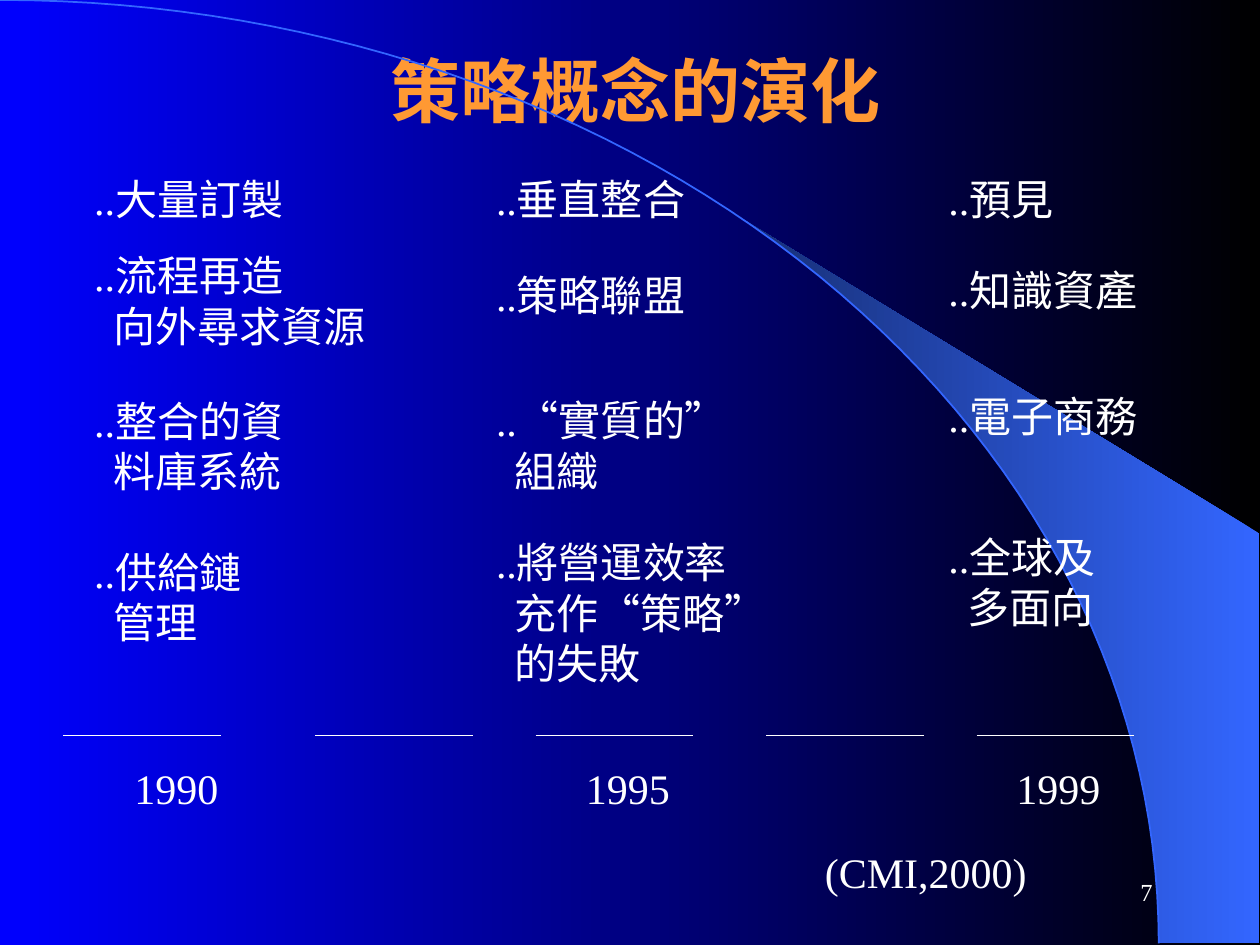
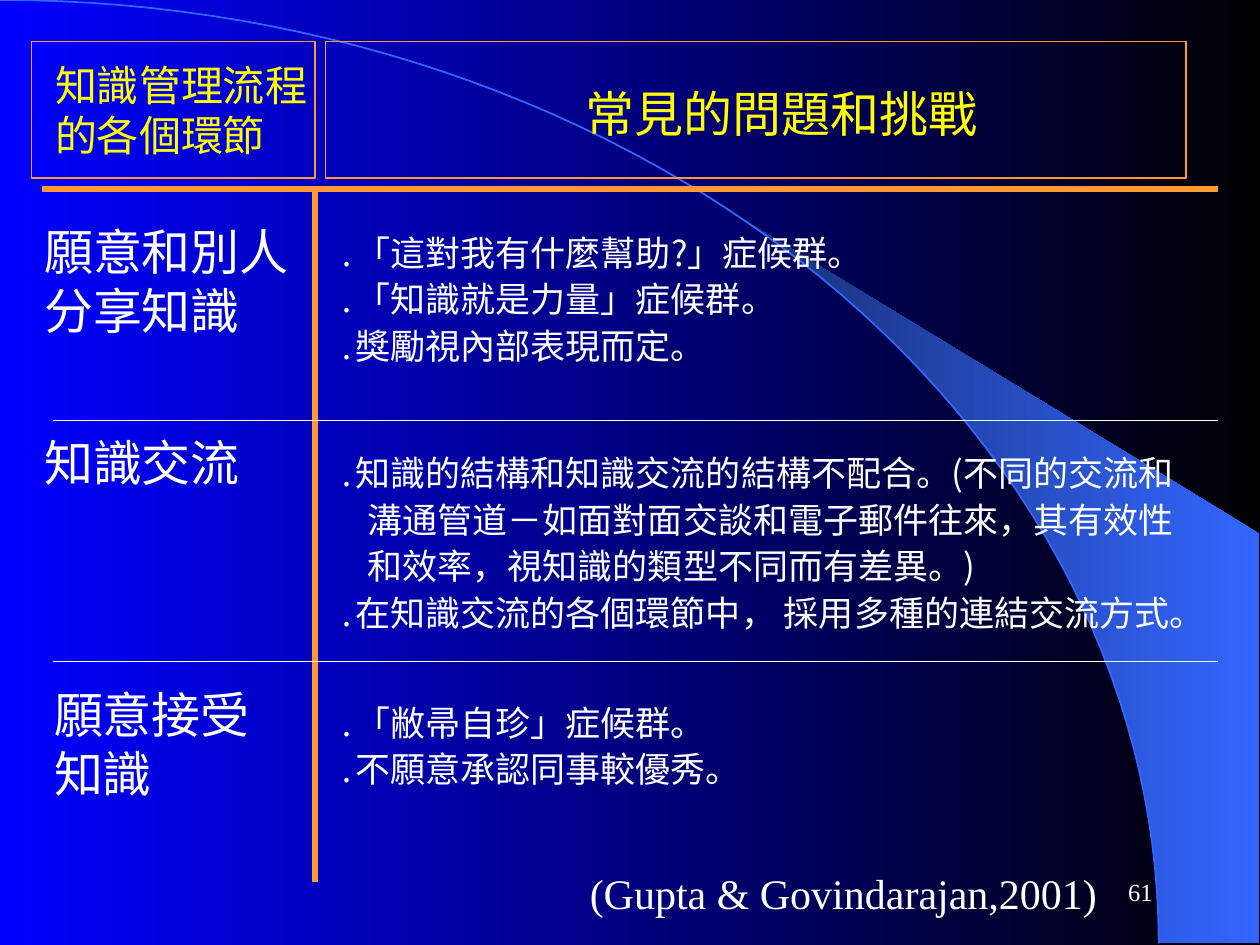
from dataclasses import dataclass
from math import asin, cos, pi, sin

from lxml.etree import SubElement
from pptx import Presentation
from pptx.dml.color import RGBColor
from pptx.enum.shapes import MSO_CONNECTOR, MSO_SHAPE
from pptx.enum.text import MSO_ANCHOR, MSO_AUTO_SIZE, PP_ALIGN
from pptx.oxml.ns import qn
from pptx.util import Cm, Pt

# Shared look
BLACK = RGBColor(0x00, 0x00, 0x00)
WHITE = RGBColor(0xFF, 0xFF, 0xFF)
BLUE = RGBColor(0x00, 0x00, 0xFF)
ARC_BLUE = RGBColor(0x33, 0x66, 0xFF)
DEEP_BLUE = RGBColor(0x17, 0x2F, 0x75)
ORANGE = RGBColor(0xFF, 0x99, 0x33)
YELLOW = RGBColor(0xFF, 0xFF, 0x00)
SERIF = "Times New Roman"
SANS_SC = "Noto Sans CJK SC"
SANS_TC = "Noto Sans CJK TC"

ARC_RX, ARC_RY = 23.36, 19.02
ARC_STEPS = 60
BEAM_START_X, BEAM_RIGHT, BEAM_TOP = 14.96, 25.38, 10.75


@dataclass(frozen=True)
class Style:
    size: float
    font: str = SERIF
    east_asian: str = SANS_TC
    color: RGBColor = WHITE
    bold: bool = False
    spacing: float = 1.2
    hang: float = 0
    align: PP_ALIGN = PP_ALIGN.LEFT


@dataclass(frozen=True)
class Item:
    text: str
    before: float = 0


@dataclass(frozen=True)
class Block:
    left: float
    top: float
    width: float
    height: float
    items: tuple[Item, ...]
    style: Style


@dataclass(frozen=True)
class Rule:
    x1: float
    y1: float
    x2: float
    y2: float
    color: RGBColor = WHITE
    weight: float = 0.75


TITLE = Style(40, color=ORANGE, bold=True, align=PP_ALIGN.CENTER)
BODY = Style(24)
COLUMN = Style(24, hang=0.38)
PAGE = Style(14, align=PP_ALIGN.RIGHT)
STAGE_HEAD = Style(24, color=YELLOW)
ISSUE_HEAD = Style(28, color=YELLOW)
STAGE = Style(28, SANS_SC, SANS_SC)
ISSUE = Style(20, SANS_TC, spacing=1.33, hang=0.6)

# Slide 1: concepts by period
COLUMN_TOP = 3.38
COLUMNS = [
    (1.65, (Item("..大量訂製"), Item("..流程再造\v向外尋求資源", 14.5),
            Item("..整合的資\v料庫系統", 25.5), Item("..供給鏈\v管理", 28.8))),
    (9.75, (Item("..垂直整合"), Item("..策略聯盟", 26),
            Item("..“實質的”\v組織", 42.6),
            Item("..將營運效率\v充作“策略”\v的失敗", 23.7))),
    (18.87, (Item("..預見"), Item("..知識資產", 23.1),
             Item("..電子商務", 43.1), Item("..全球及\v多面向", 51.7))),
]
YEARS = [("1990", 2.46), ("1995", 11.56), ("1999", 20.24)]
TIMELINE_Y, DASH_LENGTH = 14.82, 3.18
DASH_LEFTS = [1.27, 6.35, 10.8, 15.45, 19.69]

# Slide 2: stages and their issues
STAGES = [
    Block(0.64, 4.34, 5.7, 2.64, (Item("願意和別人\v分享知識"),), STAGE),
    Block(0.64, 8.59, 5.7, 1.45, (Item("知識交流"),), STAGE),
    Block(0.84, 13.67, 5.5, 2.64, (Item("願意接受\v知識"),), STAGE),
]
ISSUES = [
    (4.45, 3.05, ("․「這對我有什麼幫助?」症候群。",
                  "․「知識就是力量」症候群。", "․獎勵視內部表現而定。")),
    (8.89, 3.99, ("․知識的結構和知識交流的結構不配合。(不同的交流和\v"
                  "溝通管道－如面對面交談和電子郵件往來，其有效性\v"
                  "和效率，視知識的類型不同而有差異。)",
                  "․在知識交流的各個環節中， 採用多種的連結交流方式。")),
    (13.92, 2.13, ("․「敝帚自珍」症候群。", "․不願意承認同事較優秀。")),
]
HEAD_FRAMES = [(6.56, 17.35), (0.64, 5.71)]
GRID = [
    Rule(6.35, 3.81, 6.35, 17.78, ORANGE, 3),
    Rule(0.84, 3.81, 24.55, 3.81, ORANGE, 3),
    Rule(1.06, 8.47, 24.55, 8.47),
    Rule(1.06, 13.34, 24.55, 13.34),
]


def set_gradient(fill, right: RGBColor, left: RGBColor) -> None:
    fill.gradient()
    fill.gradient_angle = 180
    for stop, color in zip(fill.gradient_stops, (right, left)):
        stop.color.rgb = color


def fill_text(tf, items: tuple[Item, ...], style: Style) -> None:
    tf.word_wrap = True
    tf.auto_size = MSO_AUTO_SIZE.NONE
    tf.vertical_anchor = MSO_ANCHOR.TOP
    for i, item in enumerate(items):
        p = tf.paragraphs[0] if i == 0 else tf.add_paragraph()
        p.text = item.text
        p.alignment = style.align
        p.line_spacing = Pt(round(style.size * style.spacing, 1))
        p.space_before = Pt(item.before)
        if style.hang:
            pPr = p._p.get_or_add_pPr()
            pPr.set("marL", str(Cm(style.hang)))
            pPr.set("indent", str(-Cm(style.hang)))
        font = p.font
        font.size = Pt(style.size)
        font.bold = style.bold
        font.color.rgb = style.color
        font.name = style.font
        ea = SubElement(p._p.pPr.find(qn("a:defRPr")), qn("a:ea"))
        ea.set("typeface", style.east_asian)


def add_block(s, block: Block):
    sp = s.shapes.add_textbox(Cm(block.left), Cm(block.top),
                              Cm(block.width), Cm(block.height))
    fill_text(sp.text_frame, block.items, block.style)
    return sp


def add_rule(s, rule: Rule) -> None:
    line = s.shapes.add_connector(MSO_CONNECTOR.STRAIGHT, Cm(rule.x1), Cm(rule.y1),
                                  Cm(rule.x2), Cm(rule.y2))
    line.line.color.rgb = rule.color
    line.line.width = Pt(rule.weight)
    SubElement(line._element.spPr, qn("a:effectLst"))


def arc_points(start: float) -> list[tuple[int, int]]:
    angles = [start + (pi / 2 - start) * i / ARC_STEPS for i in range(ARC_STEPS + 1)]
    return [(Cm(ARC_RX * sin(a)), Cm(ARC_RY * (1 - cos(a)))) for a in angles]


def add_outline(s, points: list[tuple[int, int]], close: bool):
    builder = s.shapes.build_freeform(*points[0])
    builder.add_line_segments(points[1:], close=close)
    sp = builder.convert_to_shape()
    sp.shadow.inherit = False
    return sp


def add_backdrop(s) -> None:
    corners = [(Cm(BEAM_RIGHT), Cm(ARC_RY)), (Cm(BEAM_RIGHT), Cm(BEAM_TOP))]
    beam = add_outline(s, arc_points(asin(BEAM_START_X / ARC_RX)) + corners, True)
    set_gradient(beam.fill, ARC_BLUE, DEEP_BLUE)
    beam.line.fill.background()
    arc = add_outline(s, arc_points(0), False)
    arc.fill.background()
    arc.line.color.rgb = ARC_BLUE
    arc.line.width = Pt(1)


def add_page_number(s, number: str) -> None:
    sp = add_block(s, Block(18.2, 17.35, 5.29, 1.27, (Item(number),), PAGE))
    sp.text_frame.vertical_anchor = MSO_ANCHOR.MIDDLE


def build_evolution(prs) -> None:
    s = prs.slides.add_slide(prs.slide_layouts[5])
    add_backdrop(s)
    title = s.shapes.title
    title.left, title.top, title.width, title.height = Cm(1.7), Cm(0.84), Cm(22.23), Cm(1.96)
    fill_text(title.text_frame, (Item("策略概念的演化"),), TITLE)
    for left, items in COLUMNS:
        add_block(s, Block(left, COLUMN_TOP, 6.4, 10.6, items, COLUMN))
    for year, left in YEARS:
        add_block(s, Block(left, 15.24, 2.6, 1.27, (Item(year),), BODY))
    for left in DASH_LEFTS:
        add_rule(s, Rule(left, TIMELINE_Y, left + DASH_LENGTH, TIMELINE_Y))
    add_block(s, Block(16.38, 16.94, 5, 1.27, (Item("(CMI,2000)"),), BODY))
    add_page_number(s, "7")


def build_issues(prs) -> None:
    s = prs.slides.add_slide(prs.slide_layouts[6])
    add_backdrop(s)
    # Header row
    add_block(s, Block(0.86, 1.07, 5.8, 2.29, (Item("知識管理流程\v的各個環節"),), STAGE_HEAD))
    add_block(s, Block(11.56, 1.55, 8.8, 1.45, (Item("常見的問題和挑戰"),), ISSUE_HEAD))
    for left, width in HEAD_FRAMES:
        frame = s.shapes.add_shape(MSO_SHAPE.RECTANGLE, Cm(left), Cm(0.84), Cm(width), Cm(2.75))
        frame.shadow.inherit = False
        frame.fill.background()
        frame.line.color.rgb = ORANGE
        frame.line.width = Pt(0.75)
    # Grid and contents
    for rule in GRID:
        add_rule(s, rule)
    for stage in STAGES:
        add_block(s, stage)
    for top, height, lines in ISSUES:
        items = tuple(Item(line) for line in lines)
        add_block(s, Block(6.56, top, 18.42, height, items, ISSUE))
    add_block(s, Block(11.64, 16.94 + 0.42, 11, 1.27,
                       (Item("(Gupta & Govindarajan,2001)"),), BODY))
    add_page_number(s, "61")


def main() -> None:
    prs = Presentation()
    prs.slide_width, prs.slide_height = Cm(25.4), Cm(19.05)
    set_gradient(prs.slide_master.background.fill, BLACK, BLUE)
    build_evolution(prs)
    build_issues(prs)
    prs.save("out.pptx")


if __name__ == "__main__":
    main()
